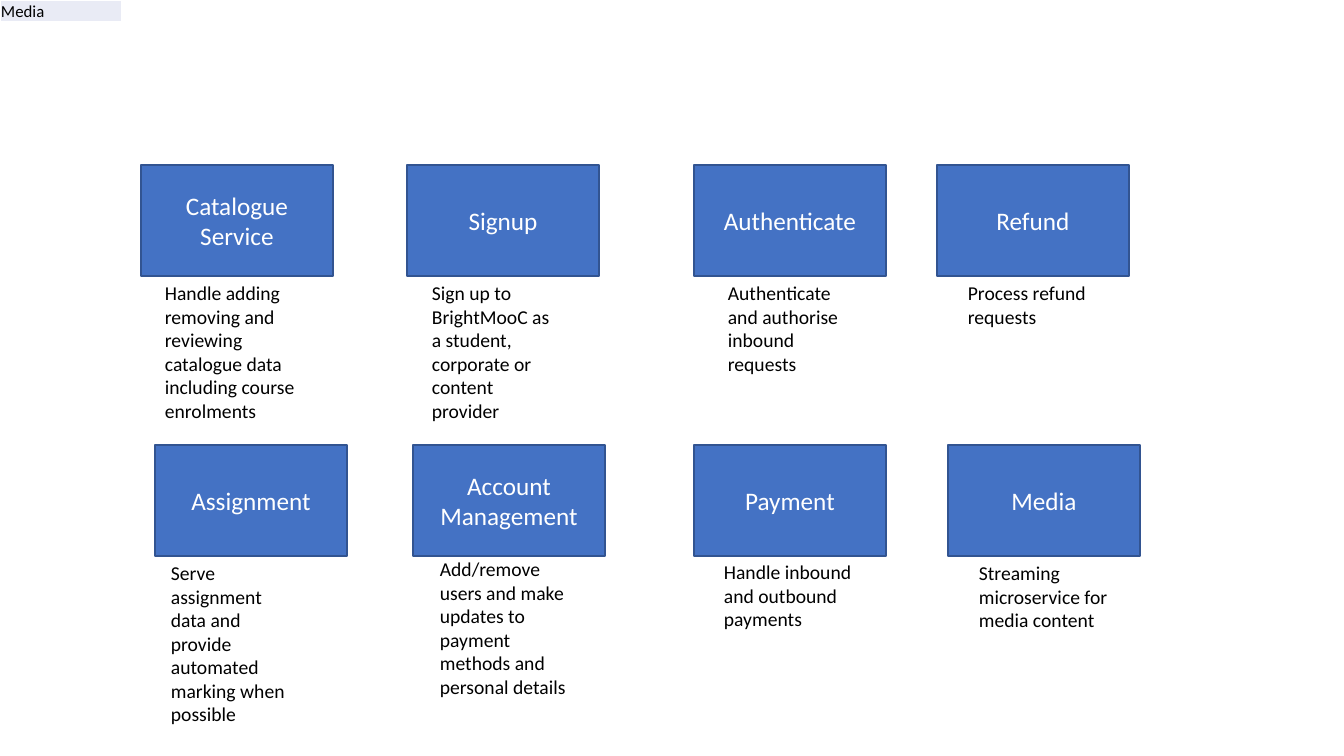
from dataclasses import dataclass
from typing import Any

from lxml.etree import SubElement
from pptx import Presentation
from pptx.dml.color import RGBColor
from pptx.enum.shapes import MSO_SHAPE
from pptx.enum.text import MSO_ANCHOR, MSO_AUTO_SIZE, PP_ALIGN
from pptx.oxml.ns import qn
from pptx.slide import Slide
from pptx.util import Emu, Pt

EMU_PER_PIXEL = 914400 / 100.8


def px(pixels: int) -> Emu:
    return Emu(round(pixels * EMU_PER_PIXEL))


@dataclass(frozen=True)
class Theme:
    font: str = "Calibri"
    service_fill: RGBColor = RGBColor(0x44, 0x72, 0xC4)
    service_outline: RGBColor = RGBColor(0x32, 0x54, 0x91)
    service_text: RGBColor = RGBColor(0xFF, 0xFF, 0xFF)
    duty_text: RGBColor = RGBColor(0, 0, 0)
    tag_fill: RGBColor = RGBColor(0xE9, 0xEB, 0xF5)
    tag_border: RGBColor = RGBColor(0xFF, 0xFF, 0xFF)
    service_size: int = 18
    duty_size: int = 14
    tag_size: int = 12
    outline_width: int = 1


@dataclass(frozen=True)
class Service:
    name: str
    left: int
    top: int
    duty: str
    duty_left: int
    duty_top: int
    duty_lines: int


THEME = Theme()
SERVICE_WIDTH, SERVICE_HEIGHT = 192, 111
DUTY_WIDTH, LINE_HEIGHT, DUTY_PADDING = 150, 24, 9
TAG_WIDTH, TAG_HEIGHT = 122, 22
UPPER_ROW, LOWER_ROW = 165, 445

SERVICES = [
    Service("Catalogue\nService", 141, UPPER_ROW,
            "Handle adding removing and reviewing catalogue data including course enrolments",
            155, 276, 6),
    Service("Signup", 407, UPPER_ROW,
            "Sign up to BrightMooC as a student, corporate or content provider",
            422, 276, 6),
    Service("Authenticate", 694, UPPER_ROW,
            "Authenticate and authorise inbound requests", 718, 276, 4),
    Service("Refund", 937, UPPER_ROW, "Process refund requests", 958, 276, 2),
    Service("Assignment", 155, LOWER_ROW,
            "Serve assignment data and provide automated marking when possible",
            161, 556, 7),
    Service("Account Management", 413, LOWER_ROW,
            "Add/remove users and make updates to payment methods and personal details",
            430, 552, 6),
    Service("Payment", 694, LOWER_ROW,
            "Handle inbound and outbound payments", 714, 555, 3),
    Service("Media", 948, LOWER_ROW,
            "Streaming microservice for media content", 969, 556, 3),
]


def apply(target: Any, formats: dict[str, Any]) -> None:
    for attribute, value in formats.items():
        setattr(target, attribute, value)


def write(frame: Any, words: str, size: int, color: RGBColor, align: PP_ALIGN) -> None:
    frame.text = words
    for paragraph in frame.paragraphs:
        paragraph.alignment = align
        for run in paragraph.runs:
            apply(run.font, {"name": THEME.font, "size": Pt(size), "bold": False})
            run.font.color.rgb = color


def draw_service(slide: Slide, service: Service) -> None:
    box = slide.shapes.add_shape(
        MSO_SHAPE.RECTANGLE, px(service.left), px(service.top),
        px(SERVICE_WIDTH), px(SERVICE_HEIGHT))
    box.shadow.inherit = False
    box.fill.solid()
    box.fill.fore_color.rgb = THEME.service_fill
    box.line.color.rgb = THEME.service_outline
    box.line.width = Pt(THEME.outline_width)
    apply(box.text_frame, {"word_wrap": True, "vertical_anchor": MSO_ANCHOR.MIDDLE})
    write(box.text_frame, service.name, THEME.service_size, THEME.service_text,
          PP_ALIGN.CENTER)


def draw_duty(slide: Slide, service: Service) -> None:
    duty = slide.shapes.add_textbox(
        px(service.duty_left), px(service.duty_top), px(DUTY_WIDTH),
        px(LINE_HEIGHT * service.duty_lines + DUTY_PADDING))
    apply(duty.text_frame, {"word_wrap": True,
                            "auto_size": MSO_AUTO_SIZE.SHAPE_TO_FIT_TEXT})
    write(duty.text_frame, service.duty, THEME.duty_size, THEME.duty_text,
          PP_ALIGN.LEFT)


def draw_tag(slide: Slide, words: str) -> None:
    table = slide.shapes.add_table(
        1, 1, px(0), px(0), px(TAG_WIDTH), px(TAG_HEIGHT)).table
    apply(table, {"first_row": False, "horz_banding": False})
    cell = table.cell(0, 0)
    apply(cell, {"margin_left": px(1), "margin_right": px(1), "margin_top": px(1),
                 "margin_bottom": px(0), "vertical_anchor": MSO_ANCHOR.BOTTOM})
    write(cell.text_frame, words, THEME.tag_size, THEME.duty_text, PP_ALIGN.LEFT)
    properties = cell._tc.get_or_add_tcPr()
    for side in ("a:lnL", "a:lnR", "a:lnT", "a:lnB"):
        border = SubElement(properties, qn(side), w=str(Pt(THEME.outline_width)))
        paint = SubElement(border, qn("a:solidFill"))
        SubElement(paint, qn("a:srgbClr"), val=str(THEME.tag_border))
    cell.fill.solid()
    cell.fill.fore_color.rgb = THEME.tag_fill


deck = Presentation()
apply(deck, {"slide_width": px(1344), "slide_height": px(756)})
services_slide = deck.slides.add_slide(deck.slide_layouts[6])
for draw in (draw_service, draw_duty):
    for service in SERVICES:
        draw(services_slide, service)
draw_tag(services_slide, "Media")
deck.save("out.pptx")
